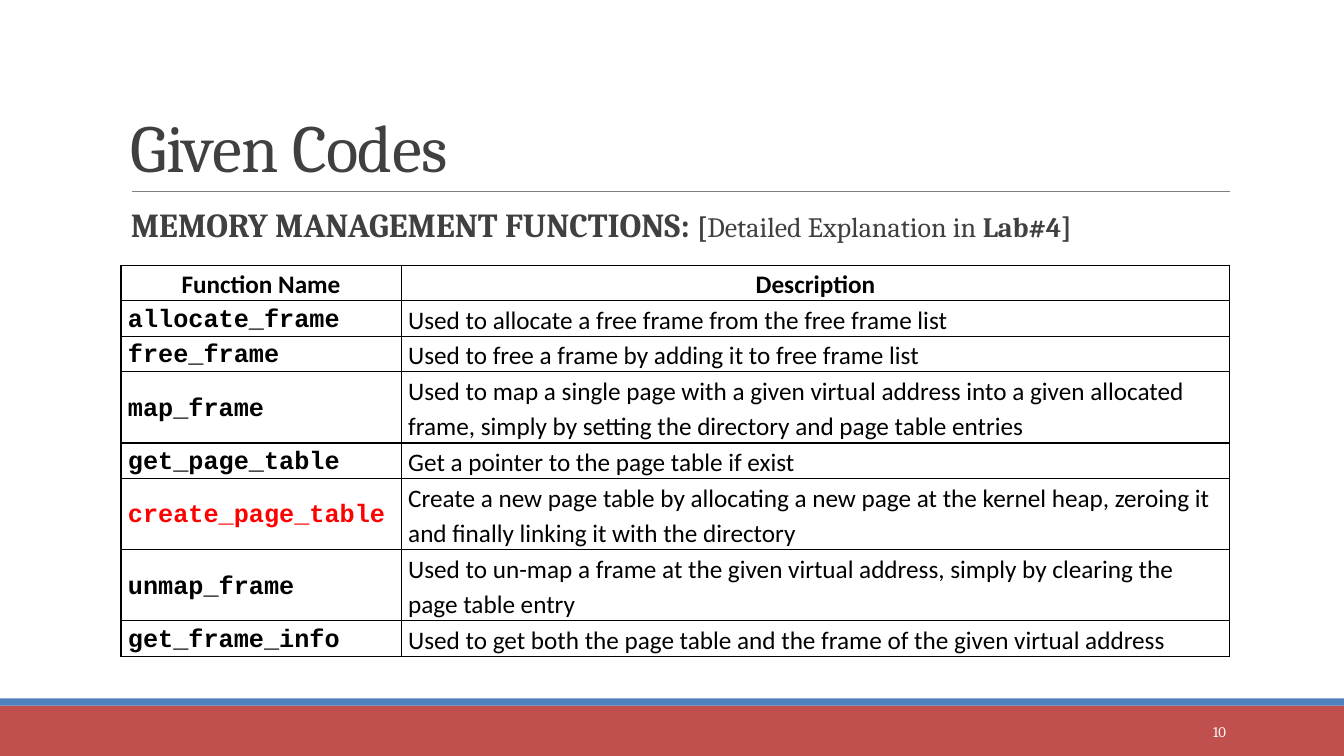
from lxml import etree
from pptx import Presentation
from pptx.dml.color import RGBColor
from pptx.enum.shapes import MSO_CONNECTOR, MSO_SHAPE
from pptx.enum.text import MSO_ANCHOR, PP_ALIGN
from pptx.oxml.ns import qn
from pptx.util import Inches, Pt

RECTANGLE = MSO_SHAPE.RECTANGLE
STRAIGHT = MSO_CONNECTOR.STRAIGHT
TOP, MIDDLE, BOTTOM = MSO_ANCHOR.TOP, MSO_ANCHOR.MIDDLE, MSO_ANCHOR.BOTTOM
LEFT, CENTER, RIGHT = PP_ALIGN.LEFT, PP_ALIGN.CENTER, PP_ALIGN.RIGHT

# Grid: ten units to the inch
WIDTH, HEIGHT = 133.33, 75
MARGIN, CONTENT = 12, 110
NAME_COLUMN = 27.8
LINE_ROW = 3.53

SERIF, SANS, MONO = "Cambria", "Calibri", "Courier New"
BLACK, WHITE, GREY, RED = "000000", "FFFFFF", "404040", "FF0000"
BRICK, BLUE, RULE = "C0504D", "4F81BD", "808080"

# Function name, description, lines of text, name colour
FUNCTIONS = [
    ("allocate_frame", "Used to allocate a free frame from the free frame list", 1, BLACK),
    ("free_frame", "Used to free a frame by adding it to free frame list", 1, BLACK),
    ("map_frame", "Used to map a single page with a given virtual address into a given "
     "allocated frame, simply by setting the directory and page table entries", 2, BLACK),
    ("get_page_table", "Get a pointer to the page table if exist", 1, BLACK),
    ("create_page_table", "Create a new page table by allocating a new page at the kernel "
     "heap, zeroing it and finally linking it with the directory", 2, RED),
    ("unmap_frame", "Used to un-map a frame at the given virtual address, simply by "
     "clearing the page table entry", 2, BLACK),
    ("get_frame_info", "Used to get both the page table and the frame of the given "
     "virtual address", 1, BLACK),
]


def grid(units):
    return Inches(units / 10)


def color(value):
    return RGBColor.from_string(value)


def style(span, size, font, fill, bold=False):
    span.font.size = Pt(size)
    span.font.name = font
    span.font.bold = bold
    span.font.color.rgb = color(fill)


def add_band(page, top, height, fill):
    band = page.shapes.add_shape(RECTANGLE, 0, grid(top), grid(WIDTH), grid(height))
    band.shadow.inherit = False
    band.fill.solid()
    band.fill.fore_color.rgb = color(fill)
    band.line.fill.background()


def add_rule(page, left, right, top):
    rule = page.shapes.add_connector(STRAIGHT, grid(left), grid(top), grid(right), grid(top))
    rule.line.color.rgb = color(RULE)
    rule.line.width = Pt(0.5)
    etree.SubElement(rule._element.spPr, qn("a:effectLst"))


def add_text(page, place, spans, fill, anchor=TOP, align=LEFT, spacing=1.0):
    """Each span is (text, size, bold); returns the paragraph."""
    box = page.shapes.add_textbox(*map(grid, place))
    frame = box.text_frame
    frame.word_wrap = True
    frame.vertical_anchor = anchor
    para = frame.paragraphs[0]
    para.alignment = align
    para.line_spacing = spacing
    for text, size, bold in spans:
        span = para.add_run()
        span.text = text
        style(span, size, SERIF, fill, bold)
    return para


def add_borders(cell):
    properties = cell._tc.get_or_add_tcPr()
    for index, side in enumerate(("a:lnL", "a:lnR", "a:lnT", "a:lnB")):
        line = etree.Element(qn(side), w=str(Pt(1)))
        fill = etree.SubElement(line, qn("a:solidFill"))
        etree.SubElement(fill, qn("a:srgbClr"), val=BLACK)
        properties.insert(index, line)


def fill_cell(cell, text, font, fill=BLACK, bold=False, anchor=TOP, align=LEFT):
    cell.text_frame.text = text
    cell.margin_left = cell.margin_right = grid(0.7)
    cell.margin_top = cell.margin_bottom = 0
    cell.vertical_anchor = anchor
    cell.fill.background()
    add_borders(cell)
    para = cell.text_frame.paragraphs[0]
    para.alignment = align
    para.line_spacing = 1.15
    style(para.runs[0], 18, font, fill, bold)


def add_function_table(page, top):
    line_counts = [1] + [lines for _, _, lines, _ in FUNCTIONS]
    table = page.shapes.add_table(
        len(line_counts), 2, grid(MARGIN), grid(top),
        grid(CONTENT), grid(LINE_ROW * sum(line_counts))).table
    table.horz_banding = False
    table.columns[0].width = grid(NAME_COLUMN)
    table.columns[1].width = grid(CONTENT - NAME_COLUMN)
    for row, lines in zip(table.rows, line_counts):
        row.height = grid(LINE_ROW * lines)
    for column, heading in enumerate(("Function Name", "Description")):
        fill_cell(table.cell(0, column), heading, SANS, bold=True, align=CENTER)
    for row, (name, description, _, fill) in enumerate(FUNCTIONS, start=1):
        fill_cell(table.cell(row, 0), name, MONO, fill, bold=True, anchor=MIDDLE)
        fill_cell(table.cell(row, 1), description, SANS)


def main():
    deck = Presentation()
    deck.slide_width, deck.slide_height = grid(WIDTH), grid(HEIGHT)
    page = deck.slides.add_slide(deck.slide_layouts[6])

    # Footer bands and title rule
    add_band(page, 70, 5, BRICK)
    add_band(page, 69.3, 0.7, BLUE)
    add_rule(page, MARGIN + 1.1, MARGIN + CONTENT, 19)

    # Title and subtitle
    title = add_text(page, (MARGIN, 3.1, CONTENT, 15.9), [("Given Codes", 48, False)],
                     GREY, anchor=BOTTOM, spacing=0.85)
    title.runs[0].font._element.set("spc", "-50")
    add_text(page, (MARGIN, 20.2, CONTENT, 5),
             [("MEMORY MANAGEMENT FUNCTIONS: ", 24, True), ("[", 20, True),
              ("Detailed Explanation in ", 20, False), ("Lab#4]", 20, True)],
             GREY, spacing=0.9)

    # Page number
    add_text(page, (108.3, 70.6, 14.3, 4), [("10", 10.5, False)], WHITE,
             anchor=MIDDLE, align=RIGHT)

    # Functions
    add_function_table(page, 26.3)

    deck.save("out.pptx")


if __name__ == "__main__":
    main()
